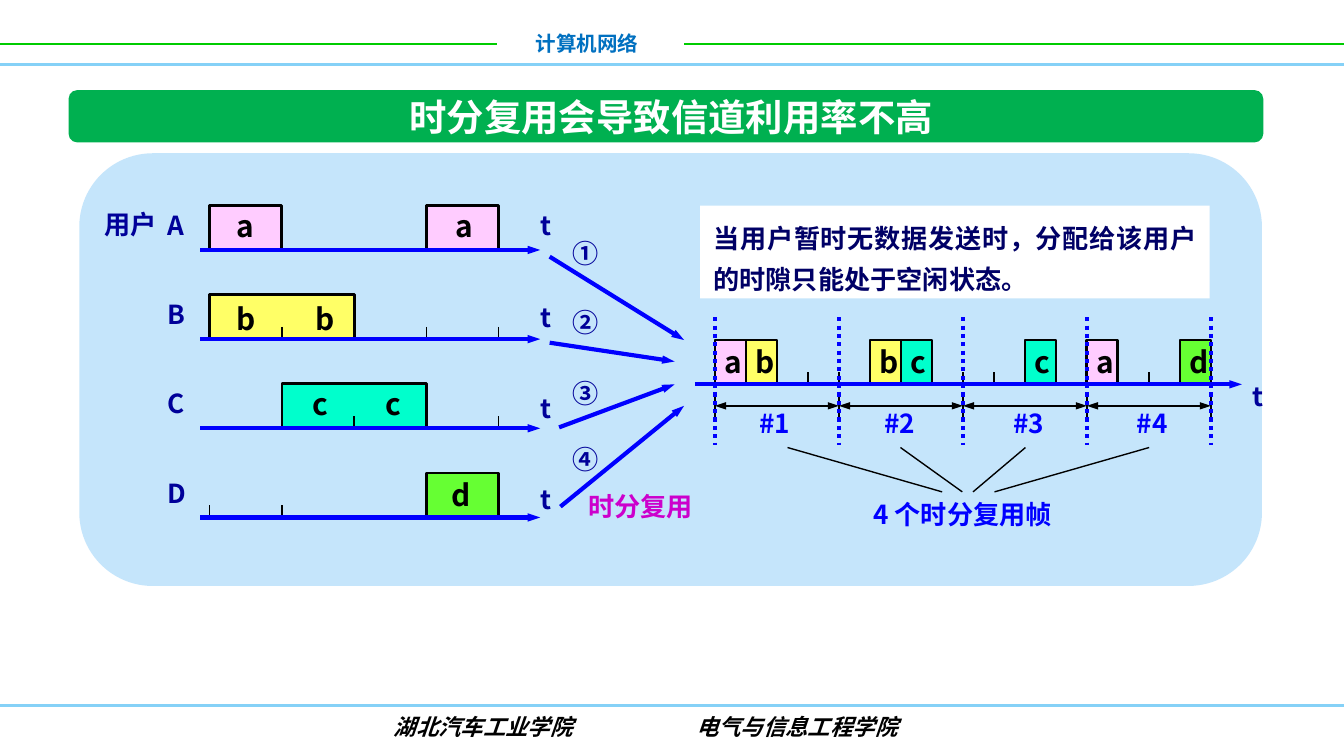
from lxml import etree
from pptx import Presentation
from pptx import util as u
from pptx.dml.color import RGBColor
from pptx.enum import dml, shapes, text
from pptx.oxml.ns import qn

COL = dict(green="00CC00", sky="85D1F7", head="0070C0", bar="00B050", panel="C5E5FB",
           white="FFFFFF", black="000000", navy="000099", note="000066", blue="0000FF",
           purple="CC00CC", a="FFCCFF", b="FFFF66", c="00FFCC", d="66FF33")
CJK = "Noto Sans CJK SC"

TITLE = "时分复用会导致信道利用率不高"
NOTE = "当用户暂时无数据发送时，分配给该用户的时隙只能处于空闲状态。"
FOOT = ["湖北汽车工业学院", "电气与信息工程学院"]

# name, data, blocks (first slot, slots), left of each letter, letter top, idle slot ticks
USERS = [
    ("A", "a", [(0, 1), (3, 1)], [1.66, 3.29], 1.5, []),
    ("B", "b", [(0, 2)], [1.66, 2.25], 2.19, [1, 3, 4]),
    ("C", "c", [(1, 2)], [2.23, 2.77], 2.82, [2, 4]),
    ("D", "d", [(3, 1)], [3.26], 3.5, [0, 1, 3]),
]
# number, its top, arrow start, arrow end
FEEDS = [
    ("①", 1.72, (4.09, 1.91), (5.09, 2.53)),
    ("②", 2.23, (4.09, 2.55), (5.02, 2.69)),
    ("③", 2.76, (4.16, 3.18), (5.02, 2.86)),
    ("④", 3.25, (4.17, 3.77), (5.09, 3.02)),
]
SLOTS = {0: "a", 1: "b", 5: "b", 6: "c", 10: "c", 12: "a", 15: "d"}
IDLE = [2, 3, 4, 8, 9, 14]
# label, its left, pointer from the frame, pointer to the caption
FRAMES = [("#1", 5.55, 5.86, 7.01), ("#2", 6.48, 6.7, 7.16),
          ("#3", 7.44, 7.63, 7.24), ("#4", 8.36, 8.55, 7.4)]

LEFT, STEP = 1.56, 2.15 / 4       # user slots
TOP, ROW = 1.86, 1.99 / 3         # user axes
START, SLOT = 5.32, 3.69 / 16     # shared channel slots
BASE, HIGH, TICK = 2.86, 0.33, 0.09

prs = Presentation()
prs.slide_width, prs.slide_height = u.Inches(10), u.Inches(10 * 9 / 16)
slide = prs.slides.add_slide(prs.slide_layouts[5])
pool = slide.shapes


def rgb(name):
    return RGBColor.from_string(COL[name])


def write(box, words, size=14, color="navy", font=CJK, italic=False, tab=None,
          inset=0.1, align=text.PP_ALIGN.LEFT, anchor=text.MSO_ANCHOR.TOP,
          wrap=False, lead=None):
    frame = box.text_frame
    frame.word_wrap, frame.vertical_anchor = wrap, anchor
    frame.auto_size = text.MSO_AUTO_SIZE.NONE
    frame.margin_left = u.Inches(inset)
    para = frame.paragraphs[0]
    para.alignment = align
    if lead:
        para.line_spacing = u.Pt(lead)
    if tab:
        stops = etree.SubElement(para._p.get_or_add_pPr(), qn("a:tabLst"))
        etree.SubElement(stops, qn("a:tab"), pos=str(u.Inches(tab)), algn="l")
    run = para.add_run()
    run.text = words
    face = run.font
    face.size, face.bold, face.italic, face.name = u.Pt(size), True, italic, font
    face.color.rgb = rgb(color)
    etree.SubElement(run._r.get_or_add_rPr(), qn("a:ea"), typeface=font)


def label(words, x, y, w, h=0.34, **form):
    box = pool.add_textbox(*map(u.Inches, (x, y, w, h)))
    write(box, words, **form)
    return box


def letter(name, x, y):
    label(name, x, y, 0.34, 0.37, size=16, color="black")


def rule(start, end, color="black", width=0.75, ends="", dots=False):
    """Draw a line; ends names its arrowheads, headEnd and tailEnd."""
    line = pool.add_connector(shapes.MSO_CONNECTOR.STRAIGHT,
                              *map(u.Inches, (*start, *end)))
    line.line.color.rgb, line.line.width = rgb(color), u.Pt(width)
    if dots:
        line.line.dash_style = dml.MSO_LINE.ROUND_DOT
    for tip in ends.split():
        etree.SubElement(line.line._get_or_add_ln(), qn("a:" + tip),
                         type="triangle", w="sm", len="med")
    etree.SubElement(line._element.spPr, qn("a:effectLst"))


def panel(x, y, w, h, color, bend):
    box = pool.add_shape(shapes.MSO_SHAPE.ROUNDED_RECTANGLE, *map(u.Inches, (x, y, w, h)))
    box.adjustments[0] = bend
    box.shadow.inherit = False
    box.fill.solid()
    box.fill.fore_color.rgb = rgb(color)
    box.line.fill.background()


def block(x, base, w, color):
    """Draw a filled pulse that is open along the time axis."""
    points = [(x, base), (x, base - HIGH), (x + w, base - HIGH), (x + w, base)]
    first, *rest = [(u.Inches(px), u.Inches(py)) for px, py in points]
    path = pool.build_freeform(*first)
    path.add_line_segments(rest, close=False)
    pulse = path.convert_to_shape()
    pulse.shadow.inherit = False
    pulse.fill.solid()
    pulse.fill.fore_color.rgb = rgb(color)
    pulse.line.color.rgb, pulse.line.width = rgb("black"), u.Pt(1.5)


def tick(x, base):
    rule((x, base - TICK), (x, base))


# Page frame
for x1, x2, y, color, width in [(0, 3.7, 0.33, "green", 1), (5.09, 10, 0.33, "green", 1),
                                (0, 10, 0.48, "sky", 2), (0, 10, 5.25, "sky", 1.5)]:
    rule((x1, y), (x2, y), color, width)
label("计算机网络", 3.88, 0.18, 0.97, 0.29, size=11, color="head", align=text.PP_ALIGN.RIGHT)
label("\t".join(FOOT), 1.02, 5.26, 7.56, 0.3, size=12, color="black", font="Arial",
      italic=True, wrap=True, inset=1.91, tab=2.25)

panel(0.51, 0.67, 8.89, 0.39, "bar", 0.17)
title = pool.title
title.left, title.top, title.width, title.height = map(u.Inches, (1.37, 0.67, 7.25, 0.39))
write(title, TITLE, size=20, color="white", align=text.PP_ALIGN.CENTER,
      anchor=text.MSO_ANCHOR.MIDDLE, wrap=True)
pool._spTree.append(title._element)
panel(0.59, 1.14, 8.8, 3.22, "panel", 0.17)

# Users
label("用户", 0.68, 1.5, 0.59)
for i, (name, data, runs, spots, high, idle) in enumerate(USERS):
    base = TOP + i * ROW
    for first, count in runs:
        block(LEFT + first * STEP, base, count * STEP, data)
    for slot in idle:
        tick(LEFT + slot * STEP, base)
    for x in spots:
        letter(data, x, high)
    rule((1.49, base), (4.02, base), "blue", 2.25, "tailEnd")
    label(name, 1.15, base - 0.35, 0.35)
    label("t", 3.92, 1.51 + i * 0.68, 0.28)

for mark, y, start, end in FEEDS:
    rule(start, end, "blue", 2.25, "tailEnd")
    label(mark, 4.16, y, 0.4)
label("时分复用", 4.28, 3.6, 0.99, color="purple")

# Shared channel
for slot, data in SLOTS.items():
    block(START + slot * SLOT, BASE, SLOT, data)
for slot in IDLE:
    tick(START + slot * SLOT, BASE)
rule((5.17, BASE), (9.24, BASE), "blue", 2.25, "tailEnd")
label("t", 9.22, 2.78, 0.28)

edges = [START + i * 4 * SLOT for i in range(5)]
for x in edges:
    rule((x, 2.94), (x, 3.11))
    rule((x, 2.36), (x, 3.31), "blue", 2.25, dots=True)
for (name, x, near, far), x1, x2 in zip(FRAMES, edges, edges[1:]):
    rule((x1, 3.02), (x2, 3.02), width=1, ends="headEnd tailEnd")
    label(name, x, 2.98, 0.45, color="blue")
    rule((near, 3.33), (far, 3.66))
label("4 个时分复用帧", 6.4, 3.66, 1.56, color="blue", wrap=True)
for slot, data in SLOTS.items():
    letter(data, START + slot * SLOT - 0.03, 2.51)

note = label(NOTE, 5.21, 1.53, 3.79, 0.69, color="note", wrap=True, lead=22,
             align=text.PP_ALIGN.JUSTIFY)
note.fill.solid()
note.fill.fore_color.rgb = rgb("white")

prs.save("out.pptx")
